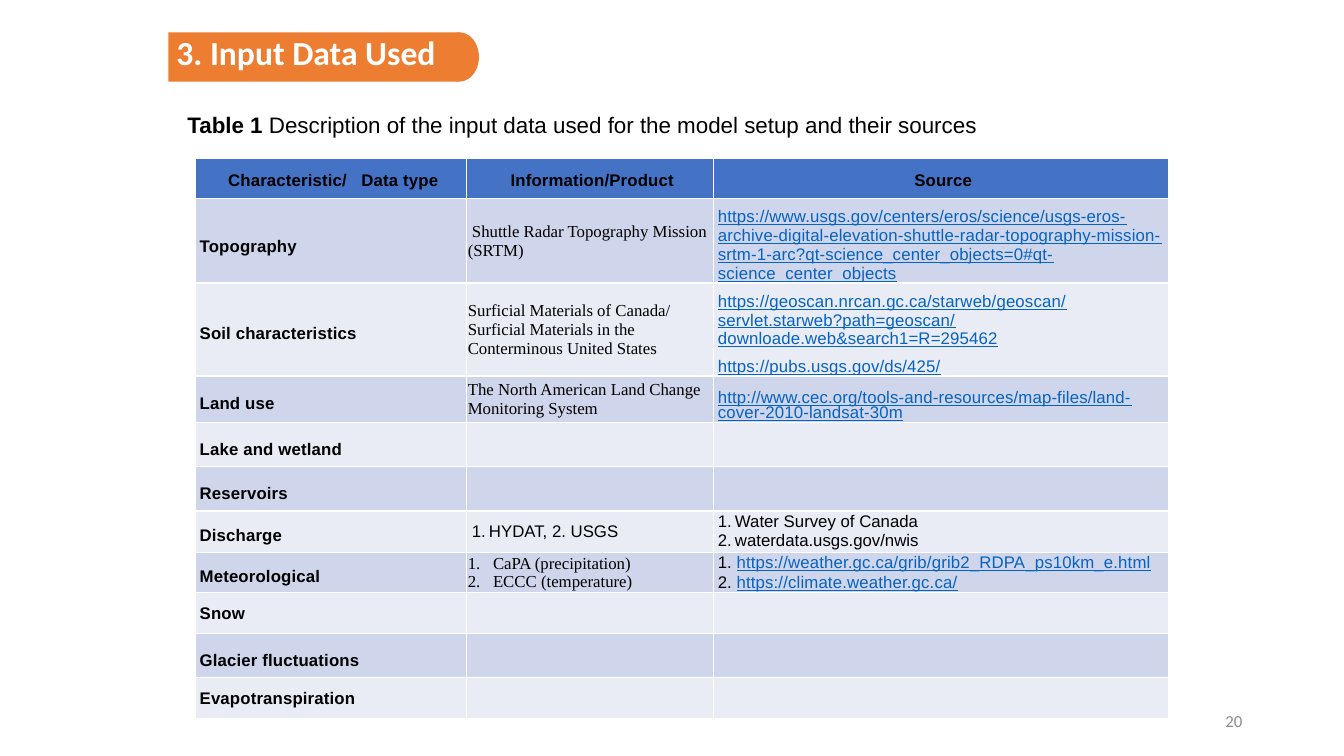
from lxml import etree
from pptx import Presentation, util as u
from pptx.dml.color import RGBColor
from pptx.enum import shapes, text
from pptx.oxml import ns

ORANGE = RGBColor(0xED, 0x7D, 0x31)
BLUE = RGBColor(0x44, 0x72, 0xC4)
BANDS = [RGBColor(0xCF, 0xD5, 0xEA), RGBColor(0xE9, 0xEB, 0xF5)]
LINK = RGBColor(0x05, 0x63, 0xC1)
BLACK = RGBColor(0, 0, 0)
WHITE = RGBColor(255, 255, 255)
GREY = RGBColor(0x8C, 0x8C, 0x8C)

PLAIN = dict(name="Arial", size=u.Pt(12), color=BLACK, bold=False)
BOLD = {**PLAIN, "bold": True, "spc": 10}
WIDE = {**BOLD, "spc": 680}
SERIF = {**PLAIN, "name": "Times New Roman"}
URL = {**PLAIN, "color": LINK, "underline": True, "spc": 10}
TITLE = dict(name="Calibri", size=u.Pt(24), color=WHITE, bold=True)
LEAD = {**PLAIN, "size": u.Pt(16), "bold": True}
BODY = {**LEAD, "bold": False}
PAGE = dict(name="Calibri", size=u.Pt(12), color=GREY)

TIGHT = u.Pt(10.6)
MIDDLE = text.MSO_ANCHOR.MIDDLE
COLS = [2.69, 2.45, 4.51]
HEAD = [
    [("Characteristic/", BOLD), (" ", WIDE), ("Data type", BOLD)],
    [("Information/Product", BOLD)],
    [("Source", BOLD)],
]


def para(*runs, left=0.04, hang=0, num=False, **form):
    """Describe a paragraph: its runs, indents, numbering and format values."""
    return runs, left, hang, num, form


def serif(words, **more):
    return para((words, SERIF), **{"left": 0, **more})


def link(words, **form):
    return para((words, URL), **form)


def item(words):
    return para((words, PLAIN), left=0.21, hang=-0.17, num=True)


# Row height, label top inset, label, label line spacing,
# information paragraphs, source top inset, source paragraphs
ROWS = [
    (0.25, 0.16, "Topography", TIGHT,
     [serif("\u00a0Shuttle Radar Topography Mission (SRTM)")], 0.09,
     [link("https://www.usgs.gov/centers/eros/science/usgs-eros-archive-digital-elevation-shuttle-radar-topography-mission-srtm-1-arc?qt-science_center_objects=0#qt-science_center_objects")]),
    (0.6, 0.09, "Soil characteristics", 1.0,
     [serif("Surficial Materials of Canada/ Surficial Materials in the Conterminous United States")], 0.09,
     [link("https://geoscan.nrcan.gc.ca/starweb/geoscan/servlet.starweb?path=geoscan/downloade.web&search1=R=295462"),
      link("https://pubs.usgs.gov/ds/425/", space_before=u.Pt(6.2))]),
    (0.46, 0.09, "Land use", 1.0,
     [serif("The North American Land Change Monitoring System")], 0.16,
     [link("http://www.cec.org/tools-and-resources/map-files/land-cover-2010-landsat-30m",
           line_spacing=TIGHT)]),
    (0.44, 0.1, "Lake and wetland", 1.0, [], 0, []),
    (0.44, 0.1, "Reservoirs", 1.0, [], 0, []),
    (0.41, 0.08, "Discharge", 1.0, [item("HYDAT, 2. USGS")], 0.01,
     [item("Water Survey of Canada"), item("waterdata.usgs.gov/nwis")]),
    (0.4, 0.07, "Meteorological", 1.1,
     [serif(words, left=0.25, hang=-0.25, num=True)
      for words in ("CaPA (precipitation)", "ECCC (temperature)")], 0.01,
     [para(("1. ", PLAIN), ("https://weather.gc.ca/grib/grib2_RDPA_ps10km_e.html", URL)),
      para(("2. ", PLAIN), ("https://climate.weather.gc.ca/", URL), space_before=u.Pt(1))]),
    (0.4, 0.01, "Snow", 1.0, [], 0, []),
    (0.4, 0.1, "Glacier fluctuations", 1.0, [], 0, []),
    (0.44, 0.01, "Evapotranspiration", 1.0, [], 0, []),
]
# The last two heights follow the label insets
HEIGHTS = [0.4] + [row[0] for row in ROWS[:-2]] + [0.44, 0.4]


def style(run, form):
    for key, value in form.items():
        if key == "color":
            run.font.color.rgb = value
        elif key == "spc":
            run._r.get_or_add_rPr().set("spc", str(value))
        else:
            setattr(run.font, key, value)


def write(frame, paras):
    for i, (runs, left, hang, num, form) in enumerate(paras):
        par = frame.add_paragraph() if i else frame.paragraphs[0]
        props = par._p.get_or_add_pPr()
        props.set("marL", str(u.Inches(left)))
        props.set("indent", str(u.Inches(hang)))
        if num:
            mark = etree.SubElement(props, ns.qn("a:buAutoNum"))
            mark.set("type", "arabicPeriod")
        for key, value in form.items():
            setattr(par, key, value)
        for words, look in runs:
            run = par.add_run()
            run.text = words
            style(run, look)


def inset(box, left, top, right, bottom):
    sides = dict(left=left, top=top, right=right, bottom=bottom)
    for side, value in sides.items():
        setattr(box, "margin_" + side, u.Inches(value))


def block(slide, kind, *place):
    shape = slide.shapes.add_shape(kind, *map(u.Inches, place))
    shape.shadow.inherit = False
    shape.fill.solid()
    shape.fill.fore_color.rgb = ORANGE
    shape.line.fill.background()
    return shape


def label(slide, place, *paras, anchor=text.MSO_ANCHOR.TOP):
    frame = slide.shapes.add_textbox(*map(u.Inches, place)).text_frame
    frame.word_wrap = True
    frame.vertical_anchor = anchor
    write(frame, paras)


def banner(slide):
    block(slide, shapes.MSO_SHAPE.OVAL, 4.36, 0.32, 0.39, 0.49)
    bar = block(slide, shapes.MSO_SHAPE.RECTANGLE, 1.67, 0.32, 2.88, 0.49)
    frame = bar.text_frame
    frame.vertical_anchor = text.MSO_ANCHOR.TOP
    inset(frame, 0.08, 0, 0, 0)
    write(frame, [para(("3. Input Data Used", TITLE), left=0,
                       alignment=text.PP_ALIGN.LEFT)])


def cell(box, color, paras=(), sides=(0, 0.01, 0, 0), anchor=MIDDLE):
    box.fill.solid()
    box.fill.fore_color.rgb = color
    if paras:
        inset(box, *sides)
        box.vertical_anchor = anchor
        write(box.text_frame, paras)


def grid(slide):
    place = map(u.Inches, (1.94, 1.57, sum(COLS), 5.48))
    holder = slide.shapes.add_table(len(HEIGHTS), len(COLS), *place)
    table = holder.table
    for col, width in zip(table.columns, COLS):
        col.width = u.Inches(width)
    for row, height in zip(table.rows, HEIGHTS):
        row.height = u.Inches(height)
    holder.height = u.Inches(5.48)
    for i, runs in enumerate(HEAD):
        cell(table.cell(0, i), BLUE,
             [para(*runs, alignment=text.PP_ALIGN.CENTER)], (0, 0.05, 0, 0))
    for i, (_, top, name, lines, info, drop, source) in enumerate(ROWS):
        color = BANDS[i % 2]
        boxes = table.rows[i + 1].cells
        cell(boxes[0], color, [para((name, BOLD), line_spacing=lines)],
             (0, top, 0, 0))
        cell(boxes[1], color, info, (0.01, 0.01, 0.01, 0))
        cell(boxes[2], color, source, (0, drop, 0, 0), text.MSO_ANCHOR.TOP)


def main():
    deck = Presentation()
    deck.slide_width, deck.slide_height = u.Inches(13.33), u.Inches(7.5)
    slide = deck.slides.add_slide(deck.slide_layouts[6])
    banner(slide)
    grid(slide)
    label(slide, (1.76, 1.05, 9.42, 0.37), para(
        ("Table 1 ", LEAD),
        ("Description of the input data used for the model setup and their sources", BODY),
        left=0))
    label(slide, (9.42, 6.95, 3, 0.4),
          para(("20", PAGE), left=0, alignment=text.PP_ALIGN.RIGHT), anchor=MIDDLE)
    deck.save("out.pptx")


if __name__ == "__main__":
    main()
